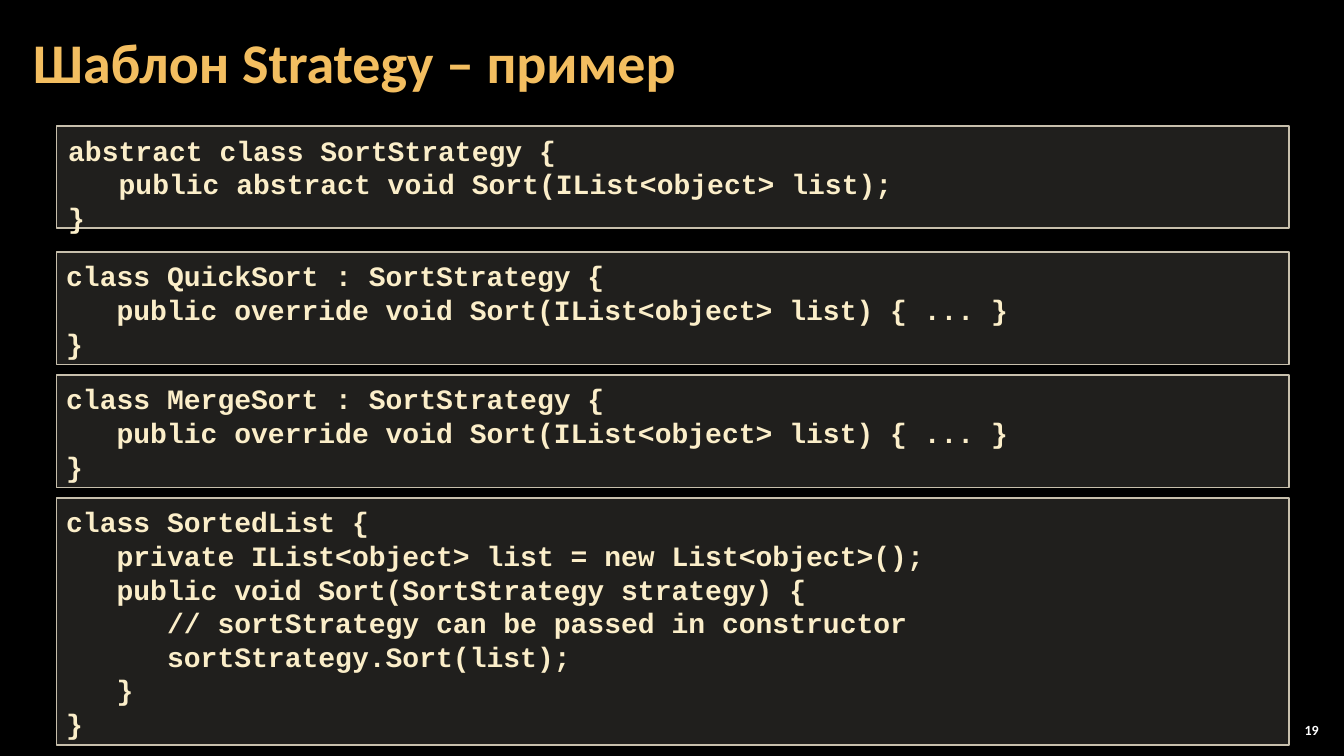
from lxml import etree
from pptx import Presentation
from pptx.dml.color import RGBColor
from pptx.enum.shapes import MSO_SHAPE
from pptx.enum.text import MSO_ANCHOR, MSO_AUTO_SIZE, PP_ALIGN
from pptx.oxml.ns import qn
from pptx.util import Pt

RECTANGLE = MSO_SHAPE.RECTANGLE
TOP, MIDDLE = MSO_ANCHOR.TOP, MSO_ANCHOR.MIDDLE
LEFT, RIGHT = PP_ALIGN.LEFT, PP_ALIGN.RIGHT
NO_AUTOFIT = MSO_AUTO_SIZE.NONE

TITLE = "Шаблон Strategy – пример"
SLIDE_NUMBER = "19"
STRATEGY_CODE = [
    "abstract class SortStrategy {",
    "   public abstract void Sort(IList<object> list);",
    "}",
]
CLASS_CODES = [
    [
        "class QuickSort : SortStrategy {",
        "   public override void Sort(IList<object> list) { ... }",
        "}",
    ],
    [
        "class MergeSort : SortStrategy {",
        "   public override void Sort(IList<object> list) { ... }",
        "}",
    ],
    [
        "class SortedList {",
        "   private IList<object> list = new List<object>();",
        "   public void Sort(SortStrategy strategy) {",
        "      // sortStrategy can be passed in constructor",
        "      sortStrategy.Sort(list);",
        "   }",
        "}",
    ],
]

BLACK, WHITE, GOLD, CREAM = "000000", "FFFFFF", "F3BE60", "FBEEC9"
PANEL, PANEL_LINE = "D9D5C7", "C7BFAC"
PANEL_OPACITY = 15
CODE_LEFT, CODE_WIDTH = 40.2, 880.6
LINE_HEIGHT, PANEL_PADDING, PANEL_GAP = 24, 8.5, 7.3
STRATEGY_TOP, STRATEGY_HEIGHT, CLASSES_TOP = 90, 73, 180


def color(hex_value):
    return RGBColor.from_string(hex_value)


def place(shape, left, top, width, height):
    shape.left, shape.top = Pt(left), Pt(top)
    shape.width, shape.height = Pt(width), Pt(height)


def set_text(shape, text, font_name, size, hex_value, anchor, alignment, inset_x, inset_y):
    frame = shape.text_frame
    frame.text = text
    frame.word_wrap = True
    frame.auto_size = NO_AUTOFIT
    frame.vertical_anchor = anchor
    frame.margin_left = frame.margin_right = Pt(inset_x)
    frame.margin_top = frame.margin_bottom = Pt(inset_y)
    for paragraph in frame.paragraphs:
        paragraph.alignment = alignment
        for run in paragraph.runs:
            run.font.name = font_name
            run.font.size = Pt(size)
            run.font.bold = True
            run.font.color.rgb = color(hex_value)


def format_code(shape, lines, inset_x):
    """Turn a shape into a translucent code panel without bullets."""
    shape.fill.solid()
    shape.fill.fore_color.rgb = color(PANEL)
    fill_color = shape.fill._xPr.find(qn("a:solidFill"))[0]
    etree.SubElement(fill_color, qn("a:alpha"), val=str(PANEL_OPACITY * 1000))
    shape.line.color.rgb = color(PANEL_LINE)
    shape.line.width = Pt(1)
    set_text(shape, "\n".join(lines), "Courier New", 20, CREAM, TOP, LEFT, inset_x, 5)
    for paragraph in shape.text_frame.paragraphs:
        paragraph.line_spacing = Pt(LINE_HEIGHT)
        paragraph.space_before = Pt(0)
        properties = paragraph._p.get_or_add_pPr()
        properties.set("marL", "0")
        properties.set("indent", "0")
        etree.SubElement(properties, qn("a:buNone"))


presentation = Presentation()
presentation.slide_width, presentation.slide_height = Pt(960), Pt(540)
slide = presentation.slides.add_slide(presentation.slide_layouts[1])
slide.background.fill.solid()
slide.background.fill.fore_color.rgb = color(BLACK)

title = slide.shapes.title
place(title, 15, 3, 754, 87)
set_text(title, TITLE, "Calibri", 40, GOLD, MIDDLE, LEFT, 8.5, 3)
title.text_frame.paragraphs[0].line_spacing = 0.9

strategy_panel = slide.placeholders[1]
place(strategy_panel, CODE_LEFT, STRATEGY_TOP, CODE_WIDTH, STRATEGY_HEIGHT)
format_code(strategy_panel, STRATEGY_CODE, 8.5)

panel_top = CLASSES_TOP
for lines in CLASS_CODES:
    panel_height = LINE_HEIGHT * len(lines) + PANEL_PADDING
    panel = slide.shapes.add_shape(
        RECTANGLE, Pt(CODE_LEFT), Pt(panel_top), Pt(CODE_WIDTH), Pt(panel_height))
    panel.shadow.inherit = False
    format_code(panel, lines, 7.2)
    panel_top += panel_height + PANEL_GAP

number = slide.shapes.add_textbox(Pt(911), Pt(514), Pt(34), Pt(15))
set_text(number, SLIDE_NUMBER, "Calibri", 10, WHITE, MIDDLE, RIGHT, 3, 3)

presentation.save("out.pptx")
